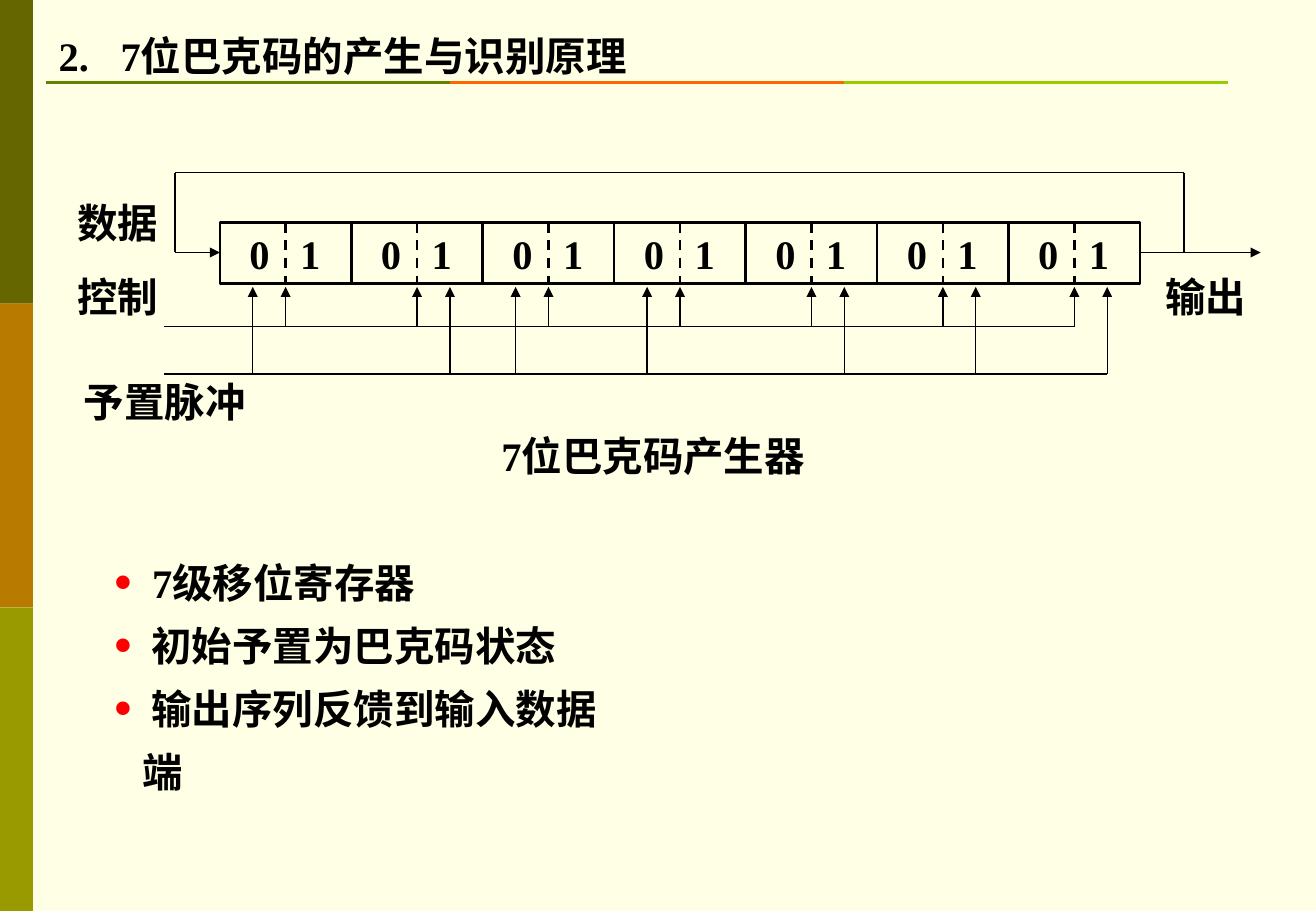
from dataclasses import dataclass

from lxml.etree import SubElement
from pptx import Presentation
from pptx.dml.color import RGBColor
from pptx.enum.dml import MSO_LINE
from pptx.enum.shapes import MSO_CONNECTOR, MSO_SHAPE
from pptx.enum.text import MSO_ANCHOR, MSO_AUTO_SIZE, PP_ALIGN
from pptx.oxml.ns import qn
from pptx.util import Cm, Pt


@dataclass(frozen=True)
class Theme:
    font: str = "Times New Roman"
    text_size: int = 24
    thin: float = 0.75
    thick: float = 1.5
    ink: str = "000000"
    background: str = "FFFFE5"
    bullet: str = "FF0000"
    side_bars: tuple = ("666600", "B87B00", "999900")
    title_rules: tuple = ("618301", "FF6600", "99CC00")


theme = Theme()
presentation = Presentation()
presentation.slide_width = Cm(27.53)
presentation.slide_height = Cm(19.05)
slide = presentation.slides.add_slide(presentation.slide_layouts[1])
slide.background.fill.solid()
slide.background.fill.fore_color.rgb = RGBColor.from_string(theme.background)


def add_line(start, end, color=theme.ink, width=theme.thin, arrow=False):
    points = [Cm(value) for value in (*start, *end)]
    line = slide.shapes.add_connector(MSO_CONNECTOR.STRAIGHT, *points)
    line.line.color.rgb = RGBColor.from_string(color)
    line.line.width = Pt(width)
    if arrow:
        SubElement(line.line._get_or_add_ln(), qn("a:tailEnd"), type="triangle")
    SubElement(line._element.spPr, qn("a:effectLst"))
    return line


def write_text(paragraph, text, tab_stop=None):
    paragraph.alignment = PP_ALIGN.LEFT
    if tab_stop:
        tabs = SubElement(paragraph._p.get_or_add_pPr(), qn("a:tabLst"))
        SubElement(tabs, qn("a:tab"), pos=str(Cm(tab_stop)), algn="l")
    run = paragraph.add_run()
    run.text = text
    run.font.name = theme.font
    run.font.size = Pt(theme.text_size)
    run.font.bold = True
    run.font.color.rgb = RGBColor.from_string(theme.ink)


# Side bars
for index, color in enumerate(theme.side_bars):
    bar = slide.shapes.add_shape(
        MSO_SHAPE.RECTANGLE, 0, Cm(6.35 * index), Cm(0.69), Cm(6.35))
    bar.shadow.inherit = False
    bar.fill.solid()
    bar.fill.fore_color.rgb = RGBColor.from_string(color)
    bar.line.fill.background()

# Title and the rules under it
title = slide.shapes.title
title.left, title.top, title.width, title.height = Cm(0.97), Cm(0.53), Cm(23.4), Cm(1.27)
title.text_frame.auto_size = MSO_AUTO_SIZE.NONE
title.text_frame.vertical_anchor = MSO_ANCHOR.BOTTOM
write_text(title.text_frame.paragraphs[0], "2.\t7位巴克码的产生与识别原理", tab_stop=1.3)

rule_spans = ((0.97, 9.65), (9.42, 18.08), (17.65, 25.68))
for (left, right), color in zip(rule_spans, theme.title_rules):
    add_line((left, 1.72), (right, 1.72), color, theme.thick)

# Shift register, with control and preset arrows for each stage
register_left, register_top = 4.6, 4.65
stage_width, stage_height = 2.75, 1.28
arrow_tip, control_rail, preset_rail = 6, 6.83, 7.82
barker_preset = (0, 1, 0, 0, 1, 1, 1)

for index, bit in enumerate(barker_preset):
    left = register_left + index * stage_width
    middle = left + stage_width / 2
    preset_x = left + stage_width * (0.75 if bit else 0.25)

    stage = slide.shapes.add_shape(
        MSO_SHAPE.RECTANGLE, Cm(left), Cm(register_top), Cm(stage_width), Cm(stage_height))
    stage.shadow.inherit = False
    stage.fill.background()
    stage.line.color.rgb = RGBColor.from_string(theme.ink)
    stage.line.width = Pt(theme.thick)
    frame = stage.text_frame
    frame.margin_left, frame.margin_right = Cm(0.62), 0
    frame.margin_top = frame.margin_bottom = 0
    frame.vertical_anchor = MSO_ANCHOR.MIDDLE
    write_text(frame.paragraphs[0], "0\t1", tab_stop=1.06)

    divider = add_line(
        (middle, register_top), (middle, register_top + stage_height), width=theme.thick)
    divider.line.dash_style = MSO_LINE.DASH

    add_line((middle, control_rail), (middle, arrow_tip), arrow=True)
    add_line((preset_x, preset_rail), (preset_x, arrow_tip), arrow=True)

# Rails end at the arrows of the last stage
add_line((3.43, control_rail), (middle, control_rail))
add_line((3.43, preset_rail), (preset_x, preset_rail))

# Output and feedback loop
register_right = register_left + len(barker_preset) * stage_width
feedback_left, feedback_right, feedback_top, signal_y = 3.66, 24.77, 3.61, 5.28
add_line((register_right, signal_y), (26.37, signal_y), arrow=True)
add_line((feedback_right, signal_y), (feedback_right, feedback_top))
add_line((feedback_right, feedback_top), (feedback_left, feedback_top))
add_line((feedback_left, feedback_top), (feedback_left, signal_y))
add_line((feedback_left, signal_y), (register_left, signal_y), arrow=True)

# Labels and caption
labels = (
    ("予置脉冲", 1.5, 7.75, 4.2),
    ("数据", 1.37, 4.01, 2.5),
    ("控制", 1.37, 5.56, 2.5),
    ("输出", 24.13, 5.56, 2.5),
    ("7位巴克码产生器", 10.24, 8.89, 7.4),
)
for text, left, top, width in labels:
    label = slide.shapes.add_textbox(Cm(left), Cm(top), Cm(width), Cm(1.27))
    label.text_frame.word_wrap = True
    write_text(label.text_frame.paragraphs[0], text)

# Bullet list
body = slide.placeholders[1]
body.left, body.top, body.width, body.height = Cm(2.11), Cm(11.23), Cm(11.28), Cm(5.6)
body.text_frame.auto_size = MSO_AUTO_SIZE.NONE
points = (" 7级移位寄存器", " 初始予置为巴克码状态", " 输出序列反馈到输入数据端")
for index, text in enumerate(points):
    paragraph = body.text_frame.add_paragraph() if index else body.text_frame.paragraphs[0]
    paragraph.line_spacing = 1.3
    paragraph.space_before = Pt(0)
    properties = paragraph._p.get_or_add_pPr()
    properties.set("marL", str(Cm(0.61)))
    properties.set("indent", str(-Cm(0.61)))
    bullet_color = SubElement(properties, qn("a:buClr"))
    SubElement(bullet_color, qn("a:srgbClr"), val=theme.bullet)
    SubElement(properties, qn("a:buSzPct"), val="140000")
    SubElement(properties, qn("a:buFont"), typeface=theme.font)
    SubElement(properties, qn("a:buChar"), char="•")
    write_text(paragraph, text)

presentation.save("out.pptx")
